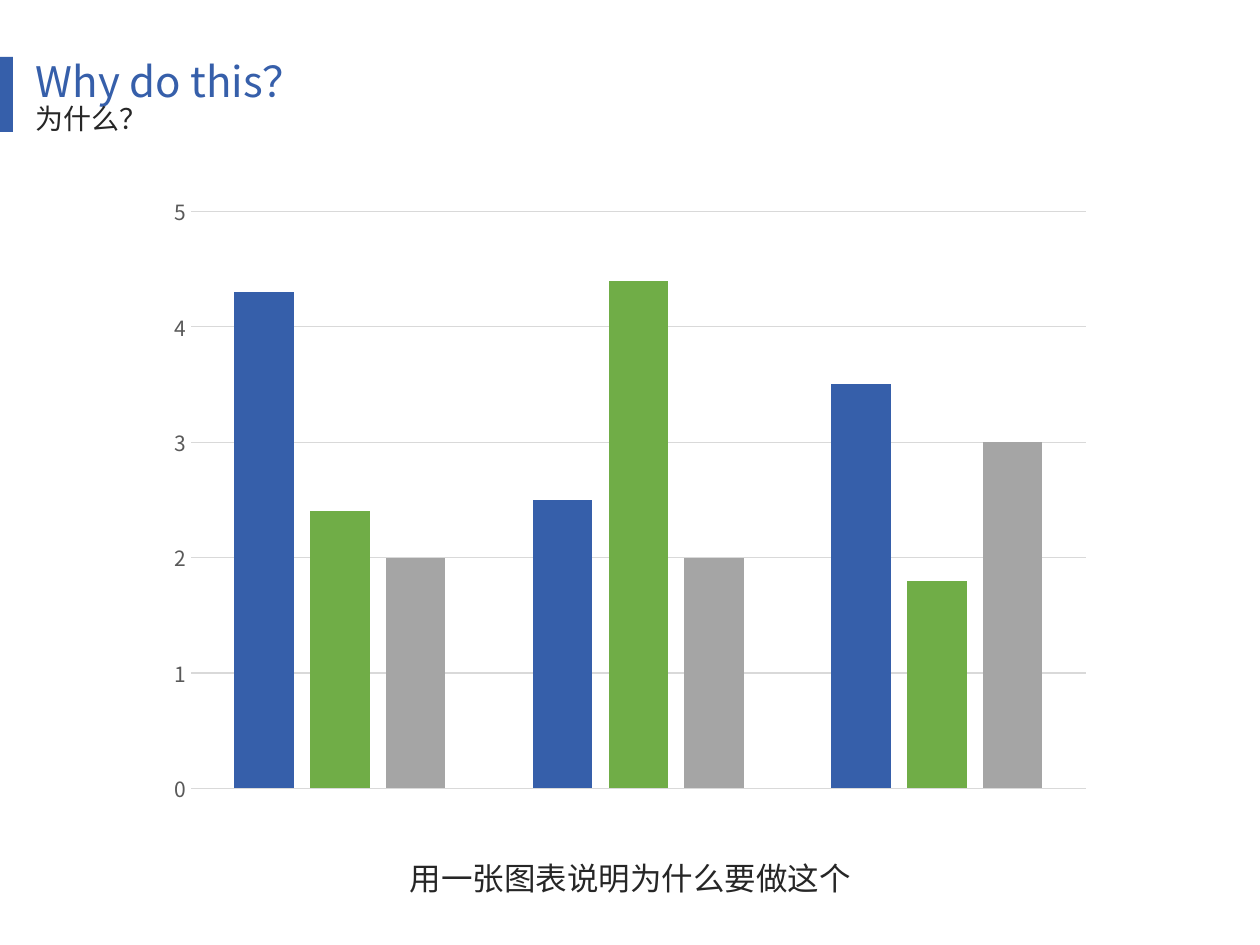
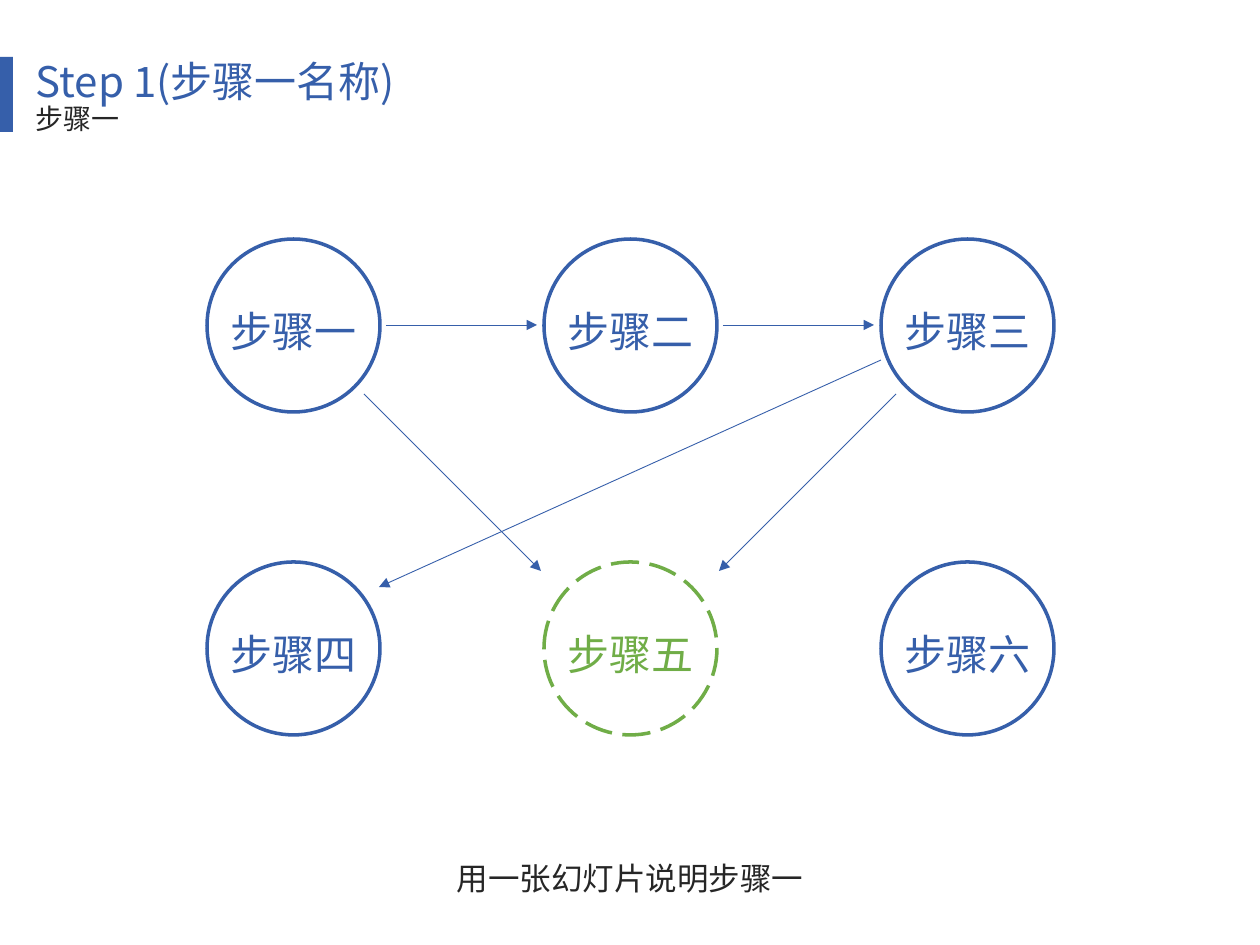
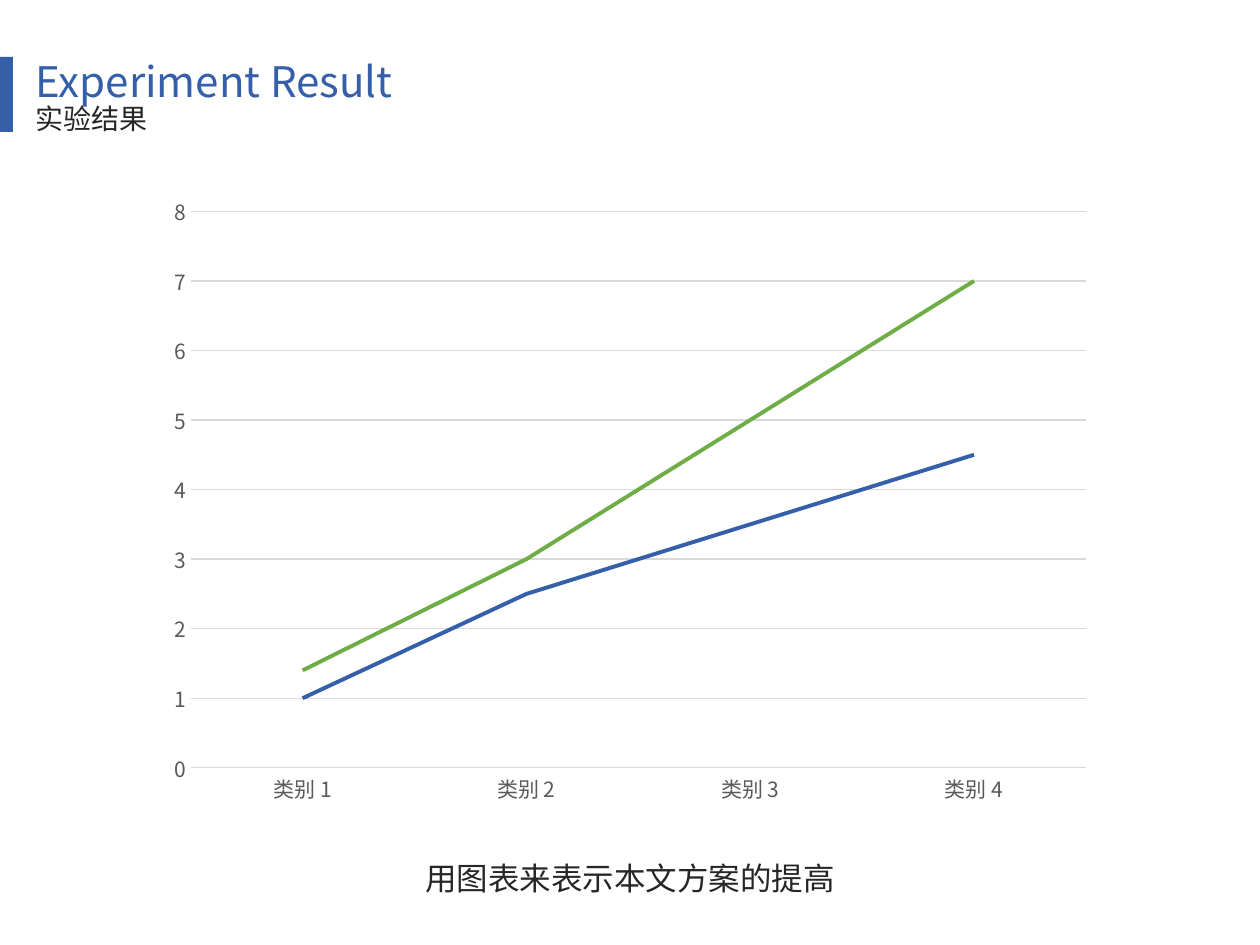
from lxml import etree
from pptx import Presentation
from pptx import util as u
from pptx.chart.data import CategoryChartData
from pptx.dml.color import RGBColor
from pptx.enum import chart as charts, dml, shapes, text
from pptx.oxml.ns import qn

FONT = "Noto Sans CJK SC"
BLUE = RGBColor(0x36, 0x5F, 0xAA)
GREEN = RGBColor(0x70, 0xAD, 0x47)
GREY = RGBColor(0xA5, 0xA5, 0xA5)
GRID = RGBColor(0xD9, 0xD9, 0xD9)
INK = RGBColor(0x26, 0x26, 0x26)
AXIS_INK = RGBColor(0x59, 0x59, 0x59)
BLACK = RGBColor(0, 0, 0)
SERIES_COLORS = (BLUE, GREEN, GREY)

SLIDE_WIDTH, SLIDE_HEIGHT = 1260, 945
TITLE_BOX = (23, 54, 678, 58)
SUBTITLE_BOX = (23, 98, 678, 44)
CHART_BOX = (155, 183, 950, 634)
STEPS_ORIGIN = (207, 239)
CIRCLE, COLUMN_STEP, ROW_STEP = 173, 337, 323
STEPS = ("步骤一", "步骤二", "步骤三", "步骤四", "步骤五", "步骤六")
PENDING_STEP = "步骤五"
ARROWS = (
    (157, 155, 334, 332),
    (689, 155, 512, 332),
    (179, 86, 330, 86),
    (516, 86, 667, 86),
    (674, 121, 172, 348),
)


def px(*lengths):
    """Turn pixel lengths into EMU."""
    return [u.Emu(round(length * 914400 / 126)) for length in lengths]


def style_font(font, size, color):
    """Set the shared typeface for Latin and Chinese, with a size and colour."""
    font.name, font.size = FONT, u.Pt(size)
    font.color.rgb = color
    etree.SubElement(font._rPr, qn("a:ea"), typeface=FONT)


def write(box, words, size, color, align, anchor, spacing=1.0, wrap=True):
    """Fill a shape with one formatted paragraph."""
    frame = box.text_frame
    frame.text = words
    frame.word_wrap = wrap
    frame.auto_size = text.MSO_AUTO_SIZE.NONE
    frame.vertical_anchor = anchor
    para = frame.paragraphs[0]
    para.alignment = align
    para.line_spacing = spacing
    para.space_before = u.Pt(0)
    style_font(para.runs[0].font, size, color)


def add_page(deck, title, subtitle, caption):
    """Add a slide with the side band, both headings and the bottom caption."""
    page = deck.slides.add_slide(deck.slide_layouts[5])
    band = page.shapes.add_shape(shapes.MSO_SHAPE.RECTANGLE, *px(0, 57, 13, 75))
    band.shadow.inherit = False
    band.fill.solid()
    band.fill.fore_color.rgb = BLUE
    band.line.fill.background()

    heading = page.shapes.title
    heading.left, heading.top, heading.width, heading.height = px(*TITLE_BOX)
    left, bottom = text.PP_ALIGN.LEFT, text.MSO_ANCHOR.BOTTOM
    write(heading, title, 24, BLUE, left, bottom, 0.8)
    subheading = page.shapes.add_textbox(*px(*SUBTITLE_BOX))
    write(subheading, subtitle, 16, INK, left, bottom, 0.9)

    width = 32 * len(caption) + 25
    note = page.shapes.add_textbox(*px((SLIDE_WIDTH - width) / 2, 853, width, 50))
    write(note, caption, 18, INK, text.PP_ALIGN.CENTER, text.MSO_ANCHOR.TOP, wrap=False)
    return page


def add_plain_chart(page, box, kind, categories, rows, top_value):
    """Add a chart with light grid lines, no legend and no value axis line."""
    data = CategoryChartData()
    data.categories = categories
    for number, values in enumerate(rows, 1):
        data.add_series(f"Series {number}", values)
    chart = page.shapes.add_chart(kind, *px(*box), data).chart
    chart.has_legend = chart.has_title = False
    style_font(chart.font, 10, BLACK)
    for axis in (chart.category_axis, chart.value_axis):
        axis.major_tick_mark = axis.minor_tick_mark = charts.XL_TICK_MARK.NONE
        style_font(axis.tick_labels.font, 12, AXIS_INK)
    values_axis = chart.value_axis
    values_axis.minimum_scale, values_axis.maximum_scale = 0, top_value
    values_axis.major_unit = 1
    values_axis.format.line.fill.background()
    for line in (values_axis.major_gridlines.format.line, chart.category_axis.format.line):
        line.color.rgb, line.width = GRID, u.Pt(0.75)
    return chart


def add_reason_chart(page, box):
    """Add the clustered columns without category labels."""
    rows = ((4.3, 2.5, 3.5), (2.4, 4.4, 1.8), (2, 2, 3))
    chart = add_plain_chart(
        page, box, charts.XL_CHART_TYPE.COLUMN_CLUSTERED, ("1", "2", "3"), rows, 5
    )
    chart.category_axis.visible = False
    plot = chart.plots[0]
    plot.vary_by_categories = False
    plot.gap_width, plot.overlap = 147, -27
    for series, color in zip(plot.series, SERIES_COLORS):
        series.format.fill.solid()
        series.format.fill.fore_color.rgb = color


def add_result_chart(page, box):
    """Add the two rising lines."""
    categories = [f"类别 {number}" for number in range(1, 5)]
    rows = ((1, 2.5, 3.5, 4.5), (1.4, 3, 5, 7))
    chart = add_plain_chart(page, box, charts.XL_CHART_TYPE.LINE, categories, rows, 8)
    plot = chart.plots[0]
    plot.vary_by_categories = False
    for series, color in zip(plot.series, SERIES_COLORS):
        series.smooth = False
        series.marker.style = charts.XL_MARKER_STYLE.NONE
        series.format.line.color.rgb = color
        series.format.line.width = u.Pt(2.25)


def add_step(page, left, top, name):
    """Group a ring and its label, dashed green for the pending step."""
    pending = name == PENDING_STEP
    color = GREEN if pending else BLUE
    group = page.shapes.add_group_shape()
    ring = group.shapes.add_shape(shapes.MSO_SHAPE.OVAL, *px(left, top, CIRCLE, CIRCLE))
    ring.shadow.inherit = False
    ring.fill.background()
    ring.line.color.rgb, ring.line.width = color, u.Pt(2)
    if pending:
        ring.line.dash_style = dml.MSO_LINE.LONG_DASH
    label = group.shapes.add_textbox(*px(left - 7, top + 52, CIRCLE + 14, 69))
    write(label, name, 24, color, text.PP_ALIGN.CENTER, text.MSO_ANCHOR.MIDDLE, 1.2)


def add_arrow(page, ends):
    """Draw a thin blue arrow between two points."""
    arrow = page.shapes.add_connector(shapes.MSO_CONNECTOR.STRAIGHT, *px(*ends))
    arrow.line.color.rgb, arrow.line.width = BLUE, u.Pt(0.5)
    etree.SubElement(arrow.line._get_or_add_ln(), qn("a:tailEnd"), type="triangle")
    etree.SubElement(arrow._element.spPr, qn("a:effectLst"))


def add_step_map(page, origin):
    """Lay the steps out in three columns and join them with arrows."""
    left, top = origin
    for index, name in enumerate(STEPS):
        row, column = divmod(index, 3)
        add_step(page, left + column * COLUMN_STEP, top + row * ROW_STEP, name)
    for x1, y1, x2, y2 in ARROWS:
        add_arrow(page, (left + x1, top + y1, left + x2, top + y2))


def main():
    """Build and save the three slides."""
    deck = Presentation()
    deck.slide_width, deck.slide_height = px(SLIDE_WIDTH, SLIDE_HEIGHT)
    reason = add_page(deck, "Why do this？", "为什么？", "用一张图表说明为什么要做这个")
    add_reason_chart(reason, CHART_BOX)
    step = add_page(deck, "Step 1(步骤一名称)", "步骤一", "用一张幻灯片说明步骤一")
    add_step_map(step, STEPS_ORIGIN)
    result = add_page(deck, "Experiment Result", "实验结果", "用图表来表示本文方案的提高")
    add_result_chart(result, CHART_BOX)
    deck.save("out.pptx")


if __name__ == "__main__":
    main()
